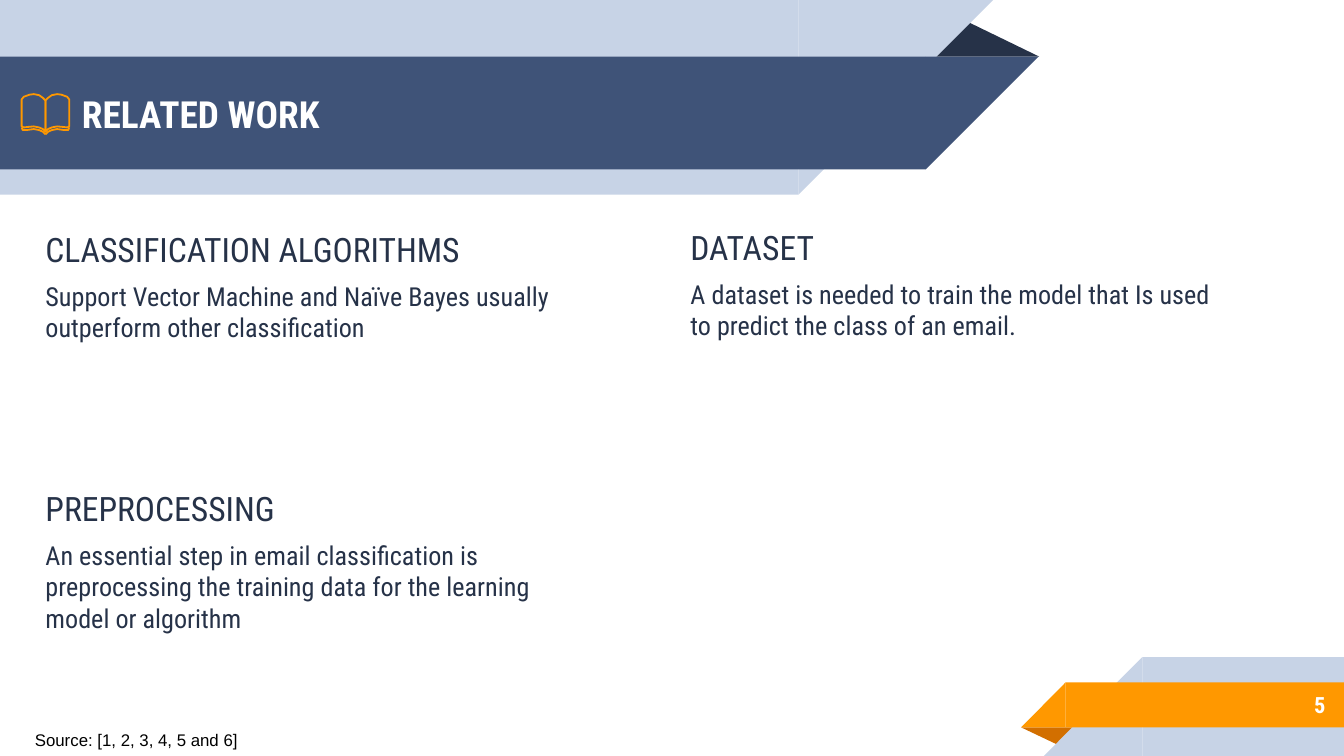
from pptx import Presentation
from pptx.dml.color import RGBColor
from pptx.enum.shapes import MSO_SHAPE
from pptx.enum.text import MSO_ANCHOR, PP_ALIGN
from pptx.util import Cm, Pt

RECT = MSO_SHAPE.RECTANGLE
CORNER = MSO_SHAPE.RIGHT_TRIANGLE
FOLD = MSO_SHAPE.ISOSCELES_TRIANGLE
TOP, MIDDLE = MSO_ANCHOR.TOP, MSO_ANCHOR.MIDDLE
LEFT, RIGHT = PP_ALIGN.LEFT, PP_ALIGN.RIGHT

NAVY, BLUE, PALE = "263248", "3F5378", "C7D3E6"
ORANGE, RUST, WHITE, BLACK = "FF9800", "D26F00", "FFFFFF", "000000"
CONDENSED = "Roboto Condensed"


def rgb(value):
    """Return the colour for a hex string."""
    return RGBColor.from_string(value)


def add_text(box, lines, anchor=MIDDLE, align=LEFT, wrap=True, top=0.25, indent=0):
    """Add a text box; each line is (text, size, bold, colour, font, space before)."""
    tf = s.shapes.add_textbox(*[Cm(v) for v in box]).text_frame
    frame = {"word_wrap": wrap, "vertical_anchor": anchor,
             "margin_left": Cm(0.25 + indent), "margin_right": Cm(0.25),
             "margin_top": Cm(top), "margin_bottom": Cm(0.13)}
    if anchor == MIDDLE:
        frame["margin_bottom"] = Cm(top)
    for name, value in frame.items():
        setattr(tf, name, value)
    for i, (text, size, bold, colour, font, before) in enumerate(lines):
        p = tf.add_paragraph() if i else tf.paragraphs[0]
        p.alignment = align
        p.space_before = Pt(before)
        r = p.add_run()
        r.text = text
        for name, value in {"size": Pt(size), "bold": bold, "name": font}.items():
            setattr(r.font, name, value)
        r.font.color.rgb = rgb(colour)


prs = Presentation()
prs.slide_width, prs.slide_height = Cm(25.4), Cm(14.29)
s = prs.slides.add_slide(prs.slide_layouts[6])
s.background.fill.solid()
s.background.fill.fore_color.rgb = rgb(WHITE)

# Ribbons: kind, left, top, width, height, colour, rotation, flipped
ribbons = [
    (FOLD, 17.48, 0.36, 2.16, 0.71, NAVY, 0, False),
    (RECT, 0, 0, 15.09, 3.68, PALE, 180, True),
    (CORNER, 15.09, 0, 3.68, 3.68, PALE, 180, True),
    (RECT, 0, 1.07, 17.5, 2.13, BLUE, 180, True),
    (CORNER, 17.5, 1.07, 2.13, 2.13, BLUE, 180, True),
    (FOLD, 19.3, 13.75, 1.09, 0.35, RUST, 180, False),
    (RECT, 21.59, 12.42, 3.81, 1.87, PALE, 0, True),
    (CORNER, 19.73, 12.42, 1.86, 1.87, PALE, 0, True),
    (RECT, 20.14, 12.9, 5.26, 0.85, ORANGE, 0, True),
    (CORNER, 19.3, 12.9, 0.84, 0.85, ORANGE, 0, True),
]
for kind, left, top, width, height, colour, rotation, flipped in ribbons:
    sp = s.shapes.add_shape(kind, Cm(left), Cm(top), Cm(width), Cm(height))
    sp.shadow.inherit = False
    sp.fill.solid()
    sp.fill.fore_color.rgb = rgb(colour)
    sp.line.fill.background()
    sp.rotation = rotation
    if kind == FOLD:
        sp.adjustments[0] = 0.324
    if flipped:
        sp._element.spPr.xfrm.set("flipH", "1")

add_text((1.3, 1.09, 16.23, 2.13), [("RELATED WORK", 20, True, WHITE, CONDENSED, 0)])
add_text((21.16, 12.88, 4.14, 0.89), [("5", 12, True, WHITE, CONDENSED, 0)], align=RIGHT)

# Topics: left, top, inset above the heading, heading, body
topics = [
    (0.41, 3.84, 0.48, "CLASSIFICATION ALGORITHMS",
     "Support Vector Machine and Naïve Bayes usually outperform other classification"),
    (0.41, 8.28, 0.94, "PREPROCESSING",
     "An essential step in email classification is preprocessing the training data "
     "for the learning model or algorithm"),
    (12.6, 3.84, 0.45, "DATASET",
     "A dataset is needed to train the model that Is used to predict the class of an email."),
]
for left, top, inset, heading, body in topics:
    add_text((left, top, 10.97, 4.39),
             [(heading, 18, False, NAVY, CONDENSED, 0), (body, 14, False, NAVY, CONDENSED, 6)],
             anchor=TOP, top=inset, indent=0.2)

# Book icon: offsets from the spine and heights, in hundredths of a centimetre
SPINE = 86
page = [(0, 190), (5, 185), (12, 180), (22, 178), (30, 179), (41, 183), (45, 188),
        (45, 239), (41, 241), (33, 240), (22, 239), (12, 241), (5, 244), (0, 249)]
lower_edge = [(45, 241), (43, 246), (36, 246), (22, 244), (12, 246), (5, 249), (0, 254)]
for outline, closed in ((lower_edge, False), (page, True)):
    for side in (-1, 1):
        points = [(SPINE + side * dx, y) for dx, y in outline]
        builder = s.shapes.build_freeform(*points[0], scale=Cm(0.01))
        builder.add_line_segments(points[1:], close=closed)
        sp = builder.convert_to_shape()
        sp.shadow.inherit = False
        sp.fill.background()
        sp.line.color.rgb = rgb(ORANGE)
        sp.line.width = Pt(0.96)

add_text((0.41, 13.67, 4.47, 0.64),
         [("Source: [1, 2, 3, 4, 5 and 6]", 9, False, BLACK, "Arial", 0)],
         wrap=False, top=0.13)

prs.save("out.pptx")
